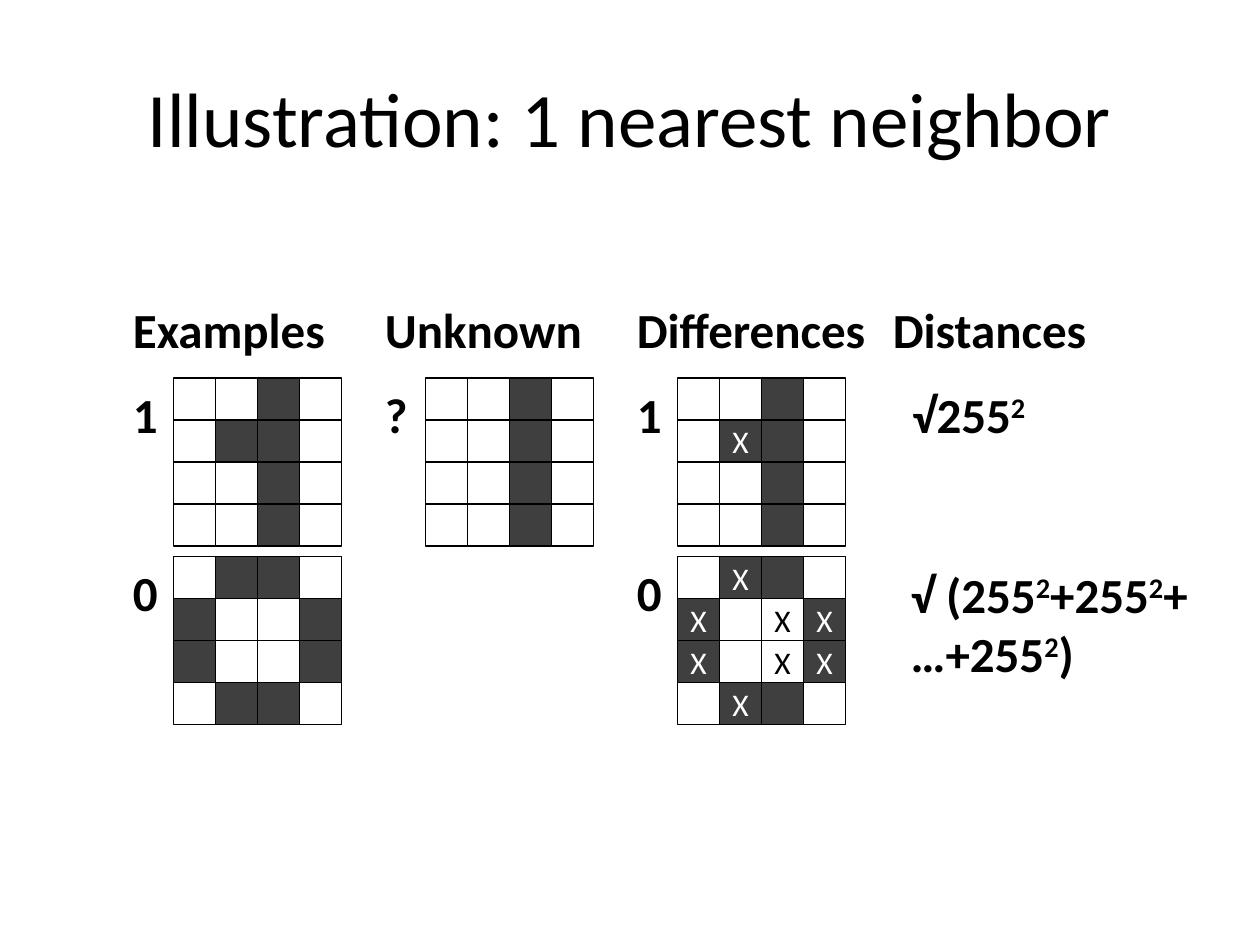
from pptx import Presentation
from pptx.dml.color import RGBColor
from pptx.enum.shapes import MSO_SHAPE
from pptx.enum.text import MSO_ANCHOR, PP_ALIGN
from pptx.util import Cm, Pt

BLACK = RGBColor(0x00, 0x00, 0x00)
WHITE = RGBColor(0xFF, 0xFF, 0xFF)
DARK = RGBColor(0x3F, 0x3F, 0x3F)
FONT = "Calibri"

TITLE = "Illustration: 1 nearest neighbor"
HEADINGS = [("Examples", 2.43, 4.65), ("Unknown", 7.51, 4.52),
            ("Differences", 12.59, 5.21), ("Distances", 17.75, 4.45)]

# "#" dark, "." white, "X" white mark on dark, "x" black mark on white
DIGITS = [
    (0, 0, "1", ["..#.", ".##.", "..#.", "..#."]),
    (0, 1, "0", [".##.", "#..#", "#..#", ".##."]),
    (1, 0, "?", ["..#.", "..#.", "..#.", "..#."]),
    (2, 0, "1", ["..#.", ".X#.", "..#.", "..#."]),
    (2, 1, "0", [".X#.", "X.xX", "X.xX", ".X#."]),
]

# Every second piece between bars is a superscript
DISTANCES = [
    (["√255|2"], 18.14, 7.62, 2.92, 1.45),
    (["√ (255|2|+255|2|+", "…+255|2|)"], 18.11, 11.25, 6.32, 2.64),
]

CELL = 2.54 / 3
COLUMN_PITCH = 5.08
GRID_LEFT, LABEL_LEFT = 3.5, 2.43
ROW_TOPS = [7.62, 11.22]
HEADING_TOP, LABEL_HEIGHT = 5.92, 1.45


def style(p, size, color, bold=False, align=PP_ALIGN.LEFT):
    p.alignment = align
    f = p.font
    f.name, f.size, f.bold = FONT, Pt(size), bold
    f.color.rgb = color


def add_text(s, lines, left, top, width, height):
    tf = s.shapes.add_textbox(Cm(left), Cm(top), Cm(width), Cm(height)).text_frame
    tf.word_wrap = False
    for i, line in enumerate(lines):
        p = tf.add_paragraph() if i else tf.paragraphs[0]
        style(p, 28, BLACK, bold=True)
        for j, piece in enumerate(line.split("|")):
            r = p.add_run()
            r.text = piece
            if j % 2:
                r._r.get_or_add_rPr().set("baseline", "30000")


def add_cell(s, mark, left, top):
    sp = s.shapes.add_shape(MSO_SHAPE.RECTANGLE, Cm(left), Cm(top), Cm(CELL), Cm(CELL))
    sp.shadow.inherit = False
    dark = mark in "#X"
    sp.fill.solid()
    sp.fill.fore_color.rgb = DARK if dark else WHITE
    sp.line.color.rgb = BLACK
    sp.line.width = Pt(0.75)
    if mark in "Xx":
        tf = sp.text_frame
        tf.vertical_anchor = MSO_ANCHOR.MIDDLE
        p = tf.paragraphs[0]
        p.text = "X"
        style(p, 18, WHITE if dark else BLACK, align=PP_ALIGN.CENTER)


def main():
    prs = Presentation()
    prs.slide_width, prs.slide_height = Cm(25.4), Cm(19.05)
    s = prs.slides.add_slide(prs.slide_layouts[5])

    title = s.shapes.title
    title.left, title.top, title.width, title.height = Cm(1.27), Cm(0.76), Cm(22.86), Cm(3.18)
    title.text_frame.text = TITLE
    title.text_frame.vertical_anchor = MSO_ANCHOR.MIDDLE
    style(title.text_frame.paragraphs[0], 44, BLACK, align=PP_ALIGN.CENTER)

    for text, left, width in HEADINGS:
        add_text(s, [text], left, HEADING_TOP, width, LABEL_HEIGHT)

    for column, row, label, pattern in DIGITS:
        shift, top = column * COLUMN_PITCH, ROW_TOPS[row]
        add_text(s, [label], LABEL_LEFT + shift, top, 1, LABEL_HEIGHT)
        for i, marks in enumerate(pattern):
            for j, mark in enumerate(marks):
                add_cell(s, mark, GRID_LEFT + shift + j * CELL, top + i * CELL)

    for lines, left, top, width, height in DISTANCES:
        add_text(s, lines, left, top, width, height)

    prs.save("out.pptx")


if __name__ == "__main__":
    main()
